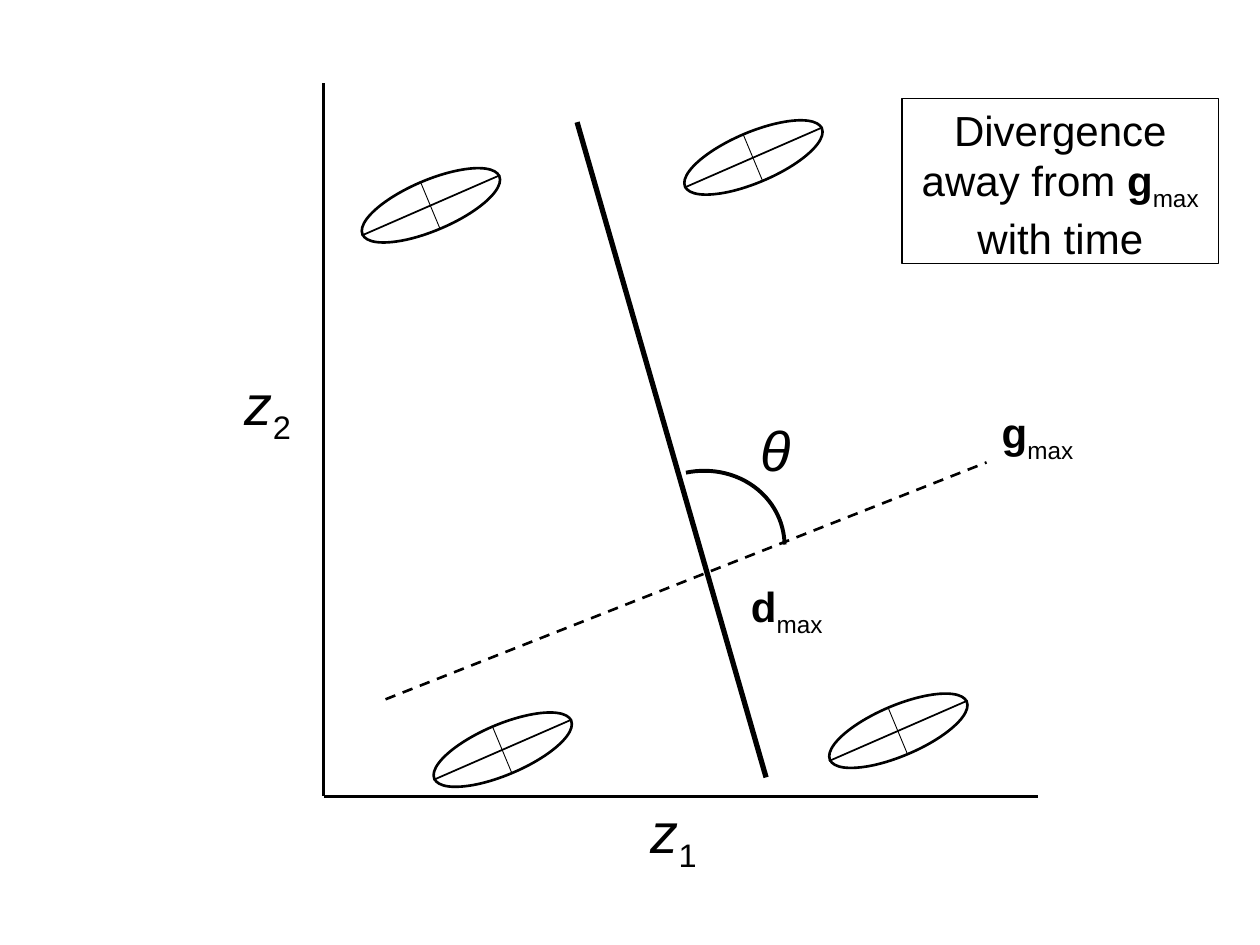
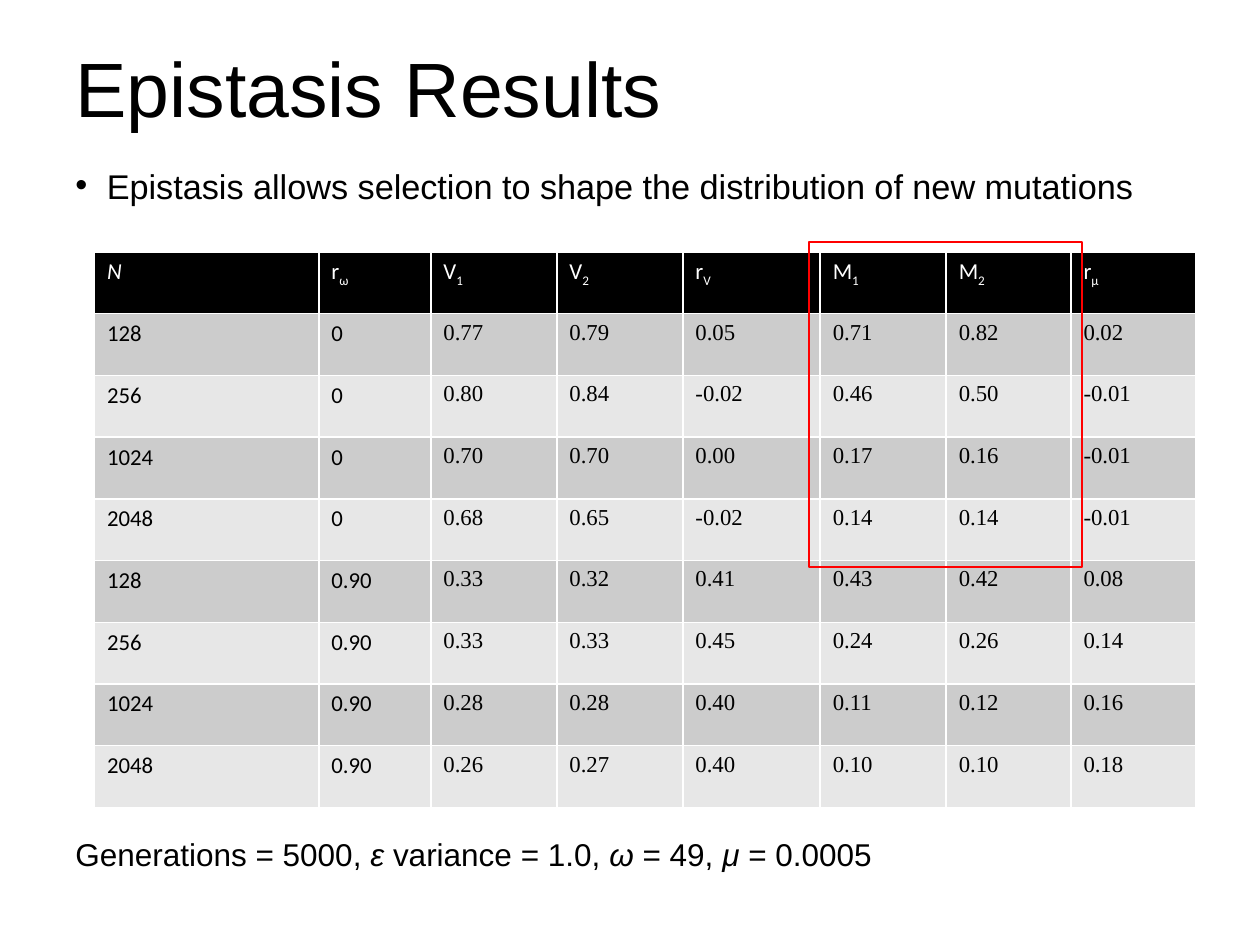
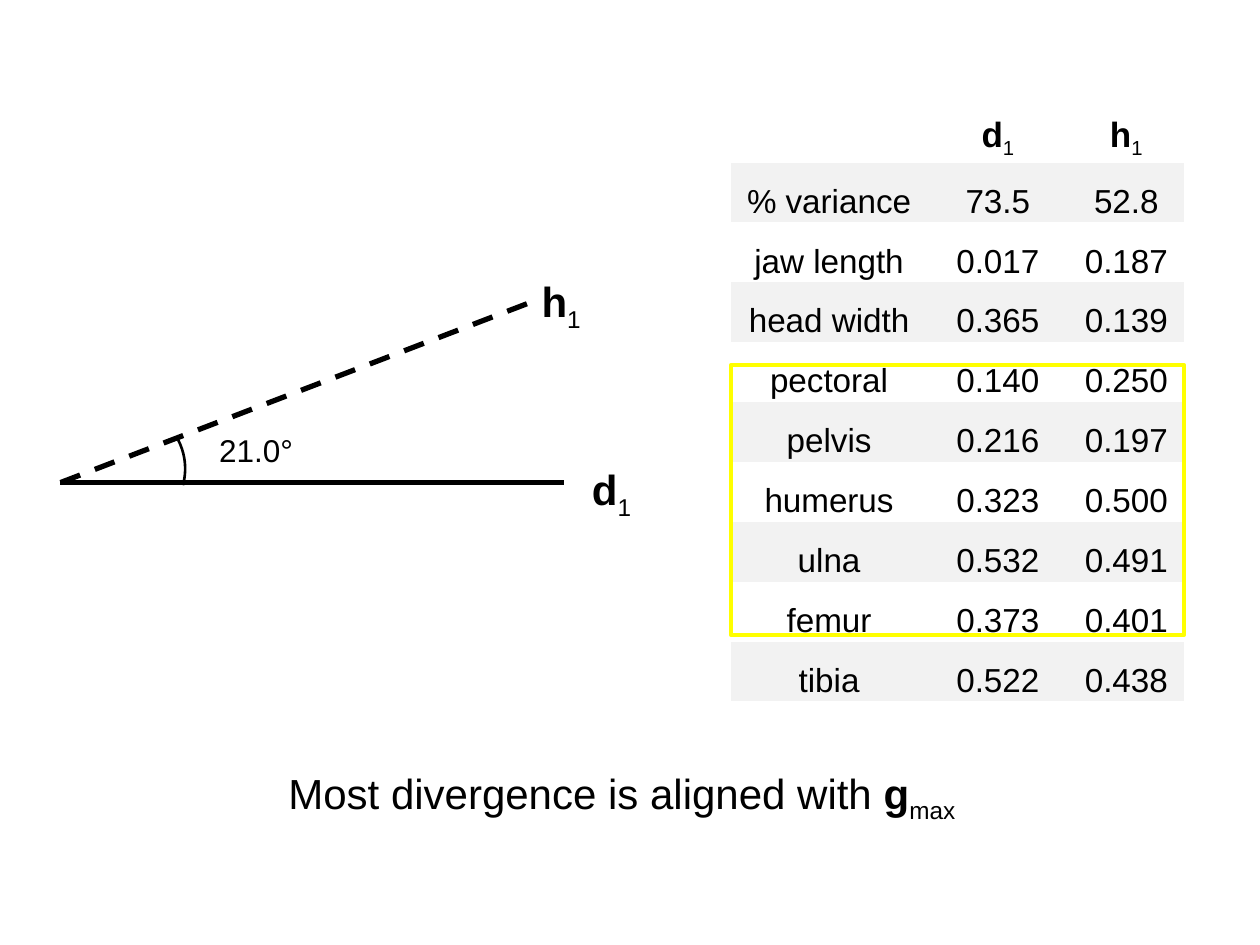
from dataclasses import dataclass
from typing import NamedTuple, Optional

import lxml.etree
import pptx
import pptx.dml.color
import pptx.enum.dml
import pptx.enum.shapes
import pptx.enum.text
import pptx.oxml.ns
import pptx.util

Inches = pptx.util.Inches
Pt = pptx.util.Pt
qn = pptx.oxml.ns.qn
Shape = pptx.enum.shapes.MSO_SHAPE
Align = pptx.enum.text.PP_ALIGN
Anchor = pptx.enum.text.MSO_ANCHOR
AutoSize = pptx.enum.text.MSO_AUTO_SIZE
NO_TABLE_STYLE = "{2D5ABB26-0587-4C30-8999-92F81FD0307C}"


@dataclass(frozen=True)
class Theme:
    black: str = "000000"
    white: str = "FFFFFF"
    red: str = "FF0000"
    yellow: str = "FFFF00"
    band_dark: str = "CCCCCC"
    band_light: str = "E7E7E7"
    band_pale: str = "F2F2F2"
    font: str = "Arial"
    table_font: str = "Calibri"
    number_font: str = "Times New Roman"
    title: float = 44
    symbol: float = 32
    label: float = 24
    bullet: float = 19.6
    note: float = 18
    loadings_head: float = 20
    loadings: float = 19
    results: float = 13


THEME = Theme()


class Run(NamedTuple):
    text: str
    bold: bool = False
    italic: bool = False
    sub: bool = False


class Box(NamedTuple):
    x: float
    y: float
    w: float
    h: float


class Stroke(NamedTuple):
    color: str
    width: float
    dashed: bool = False


class Label(NamedTuple):
    box: Box
    runs: list[Run]
    size: float
    align: Align = Align.LEFT
    wrap: bool = False


class Segment(NamedTuple):
    x1: float
    y1: float
    x2: float
    y2: float
    stroke: Stroke


class Arc(NamedTuple):
    box: Box
    rotation: float
    start: float
    end: float
    stroke: Stroke


def rgb(color: str) -> pptx.dml.color.RGBColor:
    return pptx.dml.color.RGBColor.from_string(color)


def indexed(name: str, index: str, bold: bool = False, italic: bool = False) -> list[Run]:
    return [Run(name, bold, italic), Run(index, sub=True)]


def add_runs(p, runs: list[Run], size: float, font: str = THEME.font, color: str = THEME.black) -> None:
    for run in runs:
        r = p.add_run()
        r.text = run.text
        r.font.size = Pt(size)
        r.font.name = font
        r.font.bold = run.bold
        r.font.italic = run.italic
        r.font.color.rgb = rgb(color)
        if run.sub:
            r._r.get_or_add_rPr().set("baseline", "-25000")


def add_label(slide, label: Label):
    sp = slide.shapes.add_textbox(*map(Inches, label.box))
    tf = sp.text_frame
    tf.word_wrap = label.wrap
    tf.auto_size = AutoSize.SHAPE_TO_FIT_TEXT
    p = tf.paragraphs[0]
    p.alignment = label.align
    add_runs(p, label.runs, label.size)
    return sp


def set_line(line, stroke: Stroke) -> None:
    line.color.rgb = rgb(stroke.color)
    line.width = Pt(stroke.width)
    if stroke.dashed:
        line.dash_style = pptx.enum.dml.MSO_LINE.DASH


def add_segment(slide, segment: Segment) -> None:
    ends = map(Inches, segment[:4])
    cx = slide.shapes.add_connector(pptx.enum.shapes.MSO_CONNECTOR.STRAIGHT, *ends)
    set_line(cx.line, segment.stroke)
    lxml.etree.SubElement(cx._element.spPr, qn("a:effectLst"))


def add_outline(slide, kind: Shape, box: Box, stroke: Stroke, rotation: float = 0, fill: Optional[str] = None):
    sp = slide.shapes.add_shape(kind, *map(Inches, box))
    sp.shadow.inherit = False
    sp.rotation = rotation
    set_fill(sp.fill, fill)
    set_line(sp.line, stroke)
    return sp


def set_fill(fill, color: Optional[str]) -> None:
    if color is None:
        fill.background()
    else:
        fill.solid()
        fill.fore_color.rgb = rgb(color)


def add_arc(slide, arc: Arc) -> None:
    sp = add_outline(slide, Shape.ARC, arc.box, arc.stroke, arc.rotation)
    for i, degrees in enumerate((arc.start, arc.end)):
        sp.adjustments[i] = degrees * 0.6


def add_table(slide, box: Box, n_rows: int, widths: list[float]):
    table = slide.shapes.add_table(n_rows, len(widths), *map(Inches, box)).table
    table.first_row = False
    table.horz_banding = False
    table._tbl.tblPr.find(qn("a:tableStyleId")).text = NO_TABLE_STYLE
    for col, width in zip(table.columns, widths):
        col.width = Inches(width)
    return table


def set_borders(cell, color: str, widths: dict[str, float]) -> None:
    tcPr = cell._tc.get_or_add_tcPr()
    for side, width in widths.items():
        ln = lxml.etree.SubElement(tcPr, qn(f"a:ln{side}"), w=str(Pt(width)))
        fill = lxml.etree.SubElement(ln, qn("a:solidFill"))
        lxml.etree.SubElement(fill, qn("a:srgbClr"), val=color)


def add_ellipse_with_axes(slide, x: float, y: float) -> None:
    add_outline(slide, Shape.OVAL, Box(x, y, 1.18, 0.4), Stroke(THEME.black, 1.5), 337, THEME.white)
    add_segment(slide, Segment(x + 0.04, y + 0.44, x + 1.14, y - 0.04, Stroke(THEME.black, 1)))
    add_segment(slide, Segment(x + 0.51, y + 0.02, x + 0.66, y + 0.38, Stroke(THEME.black, 0.5)))


def build_divergence(slide) -> None:
    axis = Stroke(THEME.black, 1.5)
    segments = [
        Segment(2.57, 0.66, 2.57, 6.32, axis),
        Segment(2.57, 6.32, 8.24, 6.32, axis),
        Segment(3.06, 5.55, 7.83, 3.67, Stroke(THEME.black, 1.5, True)),
        Segment(4.58, 0.97, 6.08, 6.17, Stroke(THEME.black, 3)),
    ]
    for segment in segments:
        add_segment(slide, segment)
    for x, y in [(3.4, 5.75), (2.83, 1.43), (5.39, 1.05), (6.54, 5.6)]:
        add_ellipse_with_axes(slide, x, y)
    add_arc(slide, Arc(Box(4.9, 3.74, 1.33, 1.23), 345.6, 273.1, 11.56, Stroke(THEME.black, 2.25)))

    labels = [
        Label(Box(5.05, 6.28, 0.59, 0.64), indexed("z", "1", italic=True), THEME.symbol, Align.CENTER),
        Label(Box(1.83, 2.88, 0.59, 0.64), indexed("z", "2", italic=True), THEME.symbol, Align.CENTER),
        Label(Box(7.82, 3.18, 0.83, 0.5), indexed("g", "max", bold=True), THEME.label, Align.CENTER),
        Label(Box(5.83, 4.56, 0.83, 0.5), indexed("d", "max", bold=True), THEME.label, Align.CENTER),
        Label(Box(5.94, 3.25, 0.45, 0.64), [Run("θ", italic=True)], THEME.symbol),
    ]
    for label in labels:
        add_label(slide, label)

    message = [Run("Divergence away from "), *indexed("g", "max", bold=True), Run(" with time")]
    sp = add_label(slide, Label(Box(7.16, 0.78, 2.51, 1.31), message, THEME.label, Align.CENTER, True))
    set_line(sp.line, Stroke(THEME.black, 0.75))


RESULTS_HEAD = [
    [Run("N", italic=True)],
    *(indexed(*pair) for pair in ("rω", "V1", "V2", "rV", "M1", "M2", "rμ")),
]
RESULTS = [
    ("128", "0", "0.77", "0.79", "0.05", "0.71", "0.82", "0.02"),
    ("256", "0", "0.80", "0.84", "-0.02", "0.46", "0.50", "-0.01"),
    ("1024", "0", "0.70", "0.70", "0.00", "0.17", "0.16", "-0.01"),
    ("2048", "0", "0.68", "0.65", "-0.02", "0.14", "0.14", "-0.01"),
    ("128", "0.90", "0.33", "0.32", "0.41", "0.43", "0.42", "0.08"),
    ("256", "0.90", "0.33", "0.33", "0.45", "0.24", "0.26", "0.14"),
    ("1024", "0.90", "0.28", "0.28", "0.40", "0.11", "0.12", "0.16"),
    ("2048", "0.90", "0.26", "0.27", "0.40", "0.10", "0.10", "0.18"),
]


def add_results_table(slide) -> None:
    rows = [RESULTS_HEAD] + [[[Run(value)] for value in row] for row in RESULTS]
    widths = [1.78, 0.89, 1, 1, 1.09, 1, 0.99, 0.99]
    table = add_table(slide, Box(0.75, 2, 8.74, 4.41), len(rows), widths)
    for i, row in enumerate(rows):
        head = i == 0
        band = THEME.black if head else THEME.band_dark if i % 2 else THEME.band_light
        for j, runs in enumerate(row):
            cell = table.cell(i, j)
            set_borders(cell, THEME.white, {"L": 1, "R": 1, "T": 1, "B": 1})
            set_fill(cell.fill, band)
            font = THEME.table_font if head or j < 2 else THEME.number_font
            color = THEME.white if head else THEME.black
            add_runs(cell.text_frame.paragraphs[0], runs, THEME.results, font, color)


def build_epistasis(slide) -> None:
    title = add_label(slide, Label(Box(0.5, 0.3, 9, 0.87), [Run("Epistasis Results")], THEME.title, wrap=True))
    title.text_frame.auto_size = AutoSize.NONE
    title.text_frame.vertical_anchor = Anchor.MIDDLE
    title.text_frame.paragraphs[0].line_spacing = 0.9

    finding = [Run("Epistasis allows selection to shape the distribution of new mutations")]
    body = add_label(slide, Label(Box(0.5, 1.35, 9, 0.5), finding, THEME.bullet, wrap=True))
    body.text_frame.auto_size = AutoSize.NONE
    p = body.text_frame.paragraphs[0]
    p.line_spacing = 0.7
    pPr = p._p.get_or_add_pPr()
    pPr.set("marL", str(Inches(0.25)))
    pPr.set("indent", str(-Inches(0.25)))
    lxml.etree.SubElement(pPr, qn("a:buFont"), typeface=THEME.font)
    lxml.etree.SubElement(pPr, qn("a:buChar"), char="•")

    add_results_table(slide)
    parameters = [
        Run("Generations = 5000, "),
        Run("ε", italic=True),
        Run(" variance = 1.0, "),
        Run("ω", italic=True),
        Run(" = 49, "),
        Run("μ", italic=True),
        Run(" = 0.0005"),
    ]
    add_label(slide, Label(Box(0.5, 6.58, 9.08, 0.4), parameters, THEME.note, wrap=True))
    add_outline(slide, Shape.RECTANGLE, Box(6.42, 1.92, 2.17, 2.58), Stroke(THEME.red, 1))


LOADINGS = [
    ("% variance", "73.5", "52.8"),
    ("jaw length", "0.017", "0.187"),
    ("head width", "0.365", "0.139"),
    ("pectoral", "0.140", "0.250"),
    ("pelvis", "0.216", "0.197"),
    ("humerus", "0.323", "0.500"),
    ("ulna", "0.532", "0.491"),
    ("femur", "0.373", "0.401"),
    ("tibia", "0.522", "0.438"),
]


def add_loadings_table(slide) -> None:
    head = [[], indexed("d", "1", bold=True), indexed("h", "1", bold=True)]
    rows = [head] + [[[Run(value)] for value in row] for row in LOADINGS]
    head_height, body_height = 0.57, 4.28
    box = Box(5.8, 0.72, 3.6, head_height + body_height)
    table = add_table(slide, box, len(rows), [1.56, 1.12, 0.92])
    for i, row in enumerate(rows):
        table.rows[i].height = Inches(body_height / len(LOADINGS) if i else head_height)
        for j, runs in enumerate(row):
            cell = table.cell(i, j)
            set_fill(cell.fill, THEME.band_pale if i % 2 else None)
            cell.vertical_anchor = Anchor.MIDDLE
            cell.margin_left = cell.margin_right = Inches(0.07)
            cell.margin_top = cell.margin_bottom = 0
            p = cell.text_frame.paragraphs[0]
            p.alignment = Align.CENTER
            p.line_spacing = 1.5
            add_runs(p, runs, THEME.loadings if i else THEME.loadings_head)


def build_alignment(slide) -> None:
    add_segment(slide, Segment(0.48, 3.83, 4.48, 3.83, Stroke(THEME.black, 3)))
    add_segment(slide, Segment(0.48, 3.83, 4.21, 2.4, Stroke(THEME.black, 3, True)))
    add_arc(slide, Arc(Box(0.47, 3.22, 1, 1), 350.3, 342.54, 24.88, Stroke(THEME.black, 1.5)))
    add_loadings_table(slide)
    add_outline(slide, Shape.RECTANGLE, Box(5.8, 2.9, 3.6, 2.14), Stroke(THEME.yellow, 2.25))
    conclusion = [Run("Most divergence is aligned with "), *indexed("g", "max", bold=True)]
    labels = [
        Label(Box(1.64, 3.37, 0.79, 0.4), [Run("21.0°")], THEME.note),
        Label(Box(4.6, 3.63, 0.53, 0.5), indexed("d", "1", bold=True), THEME.label),
        Label(Box(4.2, 2.14, 0.53, 0.5), indexed("h", "1", bold=True), THEME.label),
        Label(Box(2.19, 6.04, 5.61, 0.5), conclusion, THEME.label),
    ]
    for label in labels:
        add_label(slide, label)


def main() -> None:
    prs = pptx.Presentation()
    prs.slide_width = Inches(10)
    prs.slide_height = Inches(7.5)
    for build in (build_divergence, build_epistasis, build_alignment):
        build(prs.slides.add_slide(prs.slide_layouts[6]))
    prs.save("out.pptx")


if __name__ == "__main__":
    main()
